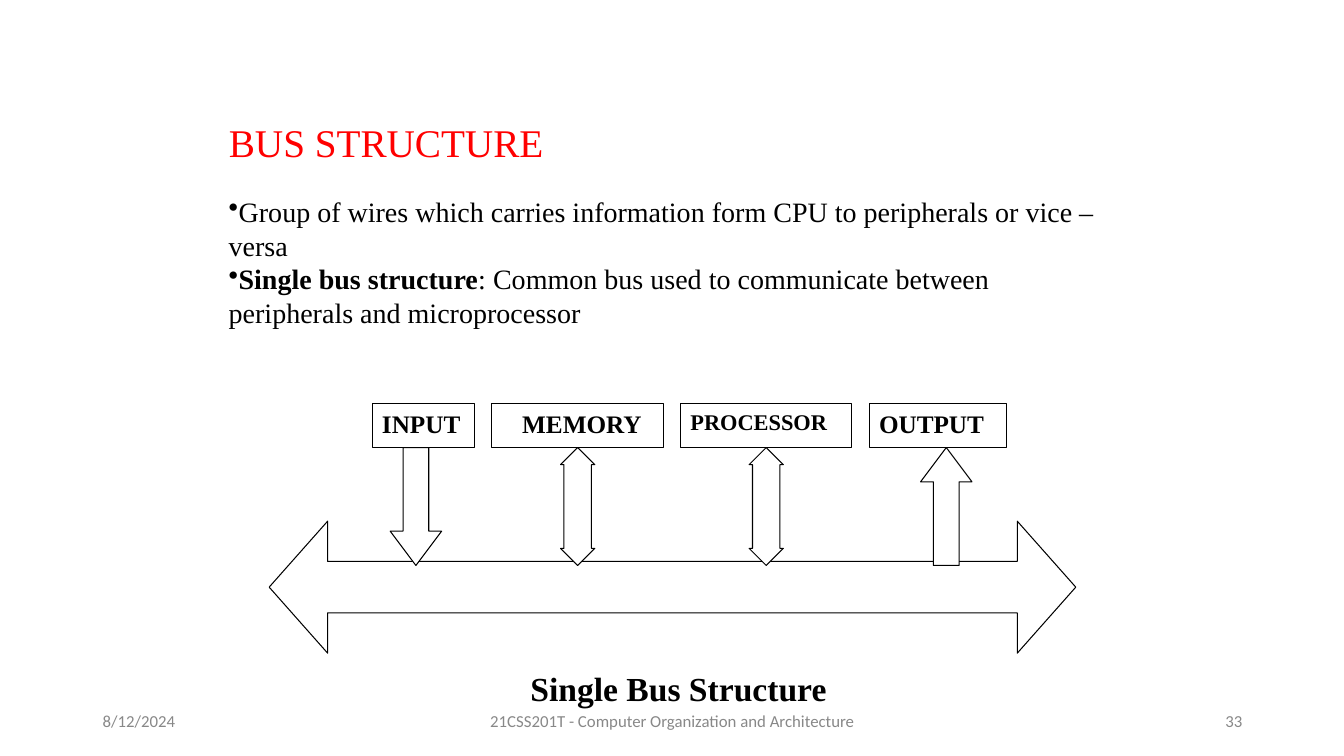
from pptx import Presentation, util as u
from pptx.dml.color import RGBColor
from pptx.enum import shapes, text
from pptx.oxml.ns import qn
from lxml import etree
from dataclasses import dataclass

Shape, Align, Anchor = shapes.MSO_SHAPE, text.PP_ALIGN, text.MSO_ANCHOR

# Content
TITLE = "BUS STRUCTURE"
BULLETS = [
    [("Group of wires which carries information form CPU to peripherals or vice – versa", False)],
    [("Single bus structure", True),
     (": Common bus used to communicate between peripherals and microprocessor", False)],
]
CAPTION = "Single Bus Structure"
# Label, box width, type size, left inset, arrow kind, arrow centre from box left
UNITS = [
    ("INPUT", 1.02, 18, 0.1, "down", 0.43),
    ("MEMORY", 1.7, 18, 0.3, "both", 0.85),
    ("PROCESSOR", 1.7, 16, 0.1, "both", 0.85),
    ("OUTPUT", 1.36, 18, 0.1, "up", 0.77),
]
# Text, left, width, alignment
FOOTERS = [
    ("8/12/2024", 0.92, 3, Align.LEFT),
    ("21CSS201T - Computer Organization and Architecture", 4.42, 4.5, Align.CENTER),
    ("33", 9.42, 3, Align.RIGHT),
]
# Shape, width, adjustments, rotation
ARROWS = {
    "down": (Shape.DOWN_ARROW, 0.51, (0.5, 0.667), 0),
    "both": (Shape.UP_DOWN_ARROW, 0.34, (0.5, 0.8), 0),
    "up": (Shape.DOWN_ARROW, 0.51, (0.5, 0.667), 180),
}


@dataclass(frozen=True)
class Theme:
    serif: str = "Times New Roman"
    sans: str = "Calibri"
    black: str = "000000"
    white: str = "FFFFFF"
    red: str = "FF0000"
    grey: str = "888888"
    title: int = 28
    body: int = 20
    caption: int = 24
    footer: int = 12
    line: float = 0.75


THEME = Theme()


def write(box, paragraphs, size, color=THEME.black, font=THEME.serif, align=Align.LEFT,
          anchor=Anchor.TOP, left_inset=0.1, bullet=None, leading=None):
    """Fill a shape with paragraphs, each a list of (words, bold) spans."""
    frame = box.text_frame
    frame.word_wrap = True
    frame.auto_size = text.MSO_AUTO_SIZE.NONE
    frame.vertical_anchor = anchor
    frame.margin_left, frame.margin_right = u.Inches(left_inset), u.Inches(0.1)
    frame.margin_top = frame.margin_bottom = u.Inches(0.05)
    for index, spans in enumerate(paragraphs):
        para = frame.paragraphs[0] if index == 0 else frame.add_paragraph()
        para.alignment = align
        if leading:
            para.line_spacing = u.Pt(leading)
        if bullet:
            props = para._p.get_or_add_pPr()
            props.set("marL", "0")
            props.set("indent", str(-u.Inches(0.14)))
            etree.SubElement(props, qn("a:buChar")).set("char", bullet)
        for words, bold in spans:
            span = para.add_run()
            span.text = words
            span.font.name, span.font.size, span.font.bold = font, u.Pt(size), bold
            span.font.color.rgb = RGBColor.from_string(color)


def place(left, top, width, height):
    return [u.Inches(round(length, 2)) for length in (left, top, width, height)]


def outlined(group, kind, area, adjustments=(), rotation=0):
    shape = group.shapes.add_shape(kind, *place(*area))
    shape.shadow.inherit = False
    shape.fill.solid()
    shape.fill.fore_color.rgb = RGBColor.from_string(THEME.white)
    shape.line.color.rgb = RGBColor.from_string(THEME.black)
    shape.line.width = u.Pt(THEME.line)
    shape.rotation = rotation
    for index, value in enumerate(adjustments):
        shape.adjustments[index] = value
    return shape


def main():
    deck = Presentation()
    deck.slide_width, deck.slide_height = u.Inches(13.33), u.Inches(7.5)
    page = deck.slides.add_slide(deck.slide_layouts[5])

    # Title and bullets
    title = page.shapes.title
    title.left, title.top, title.width, title.height = place(2.17, 1.12, 8.83, 0.6)
    write(title, [[(TITLE, False)]], THEME.title, color=THEME.red)
    body = page.shapes.add_textbox(*place(2.17, 1.88, 8.83, 1.5))
    write(body, BULLETS, THEME.body, bullet="•", leading=24)

    # Shared bus, then the units with their arrows
    diagram = page.shapes.add_group_shape()
    outlined(diagram, Shape.LEFT_RIGHT_ARROW, (2.67, 5.17, 8, 1.31), (0.389, 0.443))
    left, top, height, gap = 3.69, 4, 0.44, 0.17
    for label, width, size, inset, direction, centre in UNITS:
        unit = outlined(diagram, Shape.RECTANGLE, (left, top, width, height))
        write(unit, [[(label, True)]], size, left_inset=inset)
        kind, breadth, adjustments, rotation = ARROWS[direction]
        area = (left + centre - breadth / 2, top + height, breadth, 1.17)
        outlined(diagram, kind, area, adjustments, rotation)
        left += width + gap

    # Caption and footer
    caption = page.shapes.add_textbox(*place(4.73, 6.58, 4, 0.5))
    write(caption, [[(CAPTION, True)]], THEME.caption, align=Align.CENTER)
    for words, start, width, align in FOOTERS:
        footer = page.shapes.add_textbox(*place(start, 6.95, width, 0.4))
        write(footer, [[(words, False)]], THEME.footer, color=THEME.grey, font=THEME.sans,
              align=align, anchor=Anchor.MIDDLE)

    deck.save("out.pptx")


if __name__ == "__main__":
    main()
